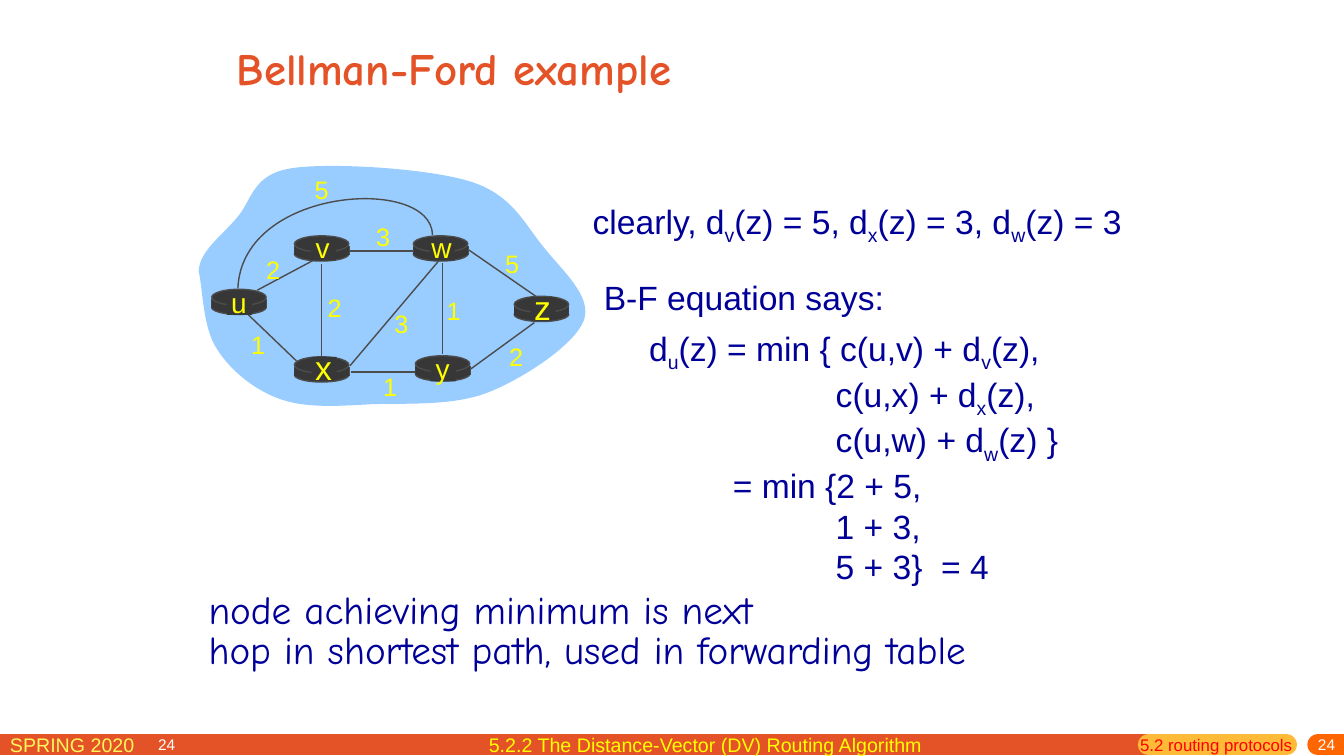
import pptx
import pptx.util
import pptx.dml.color
import pptx.enum.shapes
import pptx.enum.text
import pptx.oxml.ns
import lxml.etree

Inches = pptx.util.Inches
Kind = pptx.enum.shapes.MSO_SHAPE
Align = pptx.enum.text.PP_ALIGN
Anchor = pptx.enum.text.MSO_ANCHOR
qn = pptx.oxml.ns.qn

DARK, GREY, NAVY = "373737", "4C4C4C", "000099"
ORANGE, YELLOW, WHITE = "E45327", "FFFF00", "FFFFFF"

FOOTER_BARS = [(-0.18, 11.39, ORANGE), (11.39, 12.76, "FFBA37"), (13.07, 13.6, "FF6600")]

# left, top
ROUTERS = [(2.1, 2.87), (2.92, 3.54), (2.92, 2.34), (4.1, 2.34), (4.12, 3.53), (5.1, 2.94)]

# name, centre, top, size
LETTERS = [
    ("u", 2.37, 2.78, 20), ("y", 4.39, 3.44, 20), ("x", 3.21, 3.39, 24),
    ("w", 4.38, 2.24, 20), ("v", 3.2, 2.24, 20), ("z", 5.38, 2.8, 24),
]

LINKS = [
    (2.55, 2.88, 3.15, 2.56), (4.39, 2.61, 4.39, 3.51), (3.19, 2.62, 3.19, 3.55),
    (3.47, 3.63, 4.35, 2.59), (4.67, 3.66, 5.3, 3.2), (4.12, 3.69, 3.48, 3.69),
    (2.94, 3.58, 2.46, 3.12), (4.11, 2.49, 3.47, 2.49), (5.33, 2.95, 4.65, 2.48),
]

# cost, left, top
COSTS = [
    ("2", 2.54, 2.47), ("2", 3.15, 2.85), ("1", 2.39, 3.22), ("3", 3.81, 3.01),
    ("1", 3.7, 3.63), ("1", 4.33, 2.88), ("2", 4.95, 3.34), ("5", 4.91, 2.41),
    ("3", 3.63, 2.15), ("5", 3.02, 1.68),
]

# A start point, then two control points and an end point for each curve
CLOUD = [
    (1.97, 2.69),
    (1.98, 2.49), (2.2, 2.34), (2.35, 2.16),
    (2.5, 1.99), (2.5, 1.73), (2.89, 1.67),
    (3.27, 1.61), (4.24, 1.67), (4.66, 1.8),
    (5.08, 1.93), (5.2, 2.22), (5.39, 2.45),
    (5.57, 2.68), (5.88, 2.94), (5.79, 3.18),
    (5.7, 3.42), (5.2, 3.75), (4.85, 3.89),
    (4.5, 4.03), (4.04, 4), (3.69, 4.01),
    (3.35, 4.03), (3.03, 4.05), (2.78, 3.96),
    (2.52, 3.87), (2.28, 3.67), (2.15, 3.46),
    (2.01, 3.25), (2.01, 2.85), (1.97, 2.69),
]
ARC = [(4.29, 2.33), (4.28, 1.74), (2.4, 1.85), (2.36, 2.86)]

# text, left indent
EQUATION = [
    ("d_u(z) = min { c(u,v) + d_v(z),", 0), ("c(u,x) + d_x(z),", 1.85),
    ("c(u,w) + d_w(z) }", 1.85), ("= min {2 + 5,", 0.83),
    ("1 + 3,", 1.85), ("5 + 3}  = 4", 1.85),
]


def color(code):
    return pptx.dml.color.RGBColor.from_string(code)


def style(shape, fill=None, line=None):
    shape.shadow.inherit = False
    if fill:
        shape.fill.solid()
        shape.fill.fore_color.rgb = color(fill)
    else:
        shape.fill.background()
    if line:
        shape.line.color.rgb = color(line)
        shape.line.width = pptx.util.Pt(1)
    else:
        shape.line.fill.background()


def add_line(slide, x1, y1, x2, y2, code=GREY, width=1, cap="flat"):
    line = slide.shapes.add_connector(
        pptx.enum.shapes.MSO_CONNECTOR.STRAIGHT,
        Inches(x1), Inches(y1), Inches(x2), Inches(y2))
    line.line.color.rgb = color(code)
    line.line.width = pptx.util.Pt(width)
    line.line._get_or_add_ln().set("cap", cap)
    lxml.etree.SubElement(line._element.spPr, qn("a:effectLst"))


def add_curve(slide, points, fill=None, line=None):
    """Build an outline, then join each three line steps into one cubic curve."""
    spots = [(Inches(x), Inches(y)) for x, y in points]
    form = slide.shapes.build_freeform(*spots[0])
    form.add_line_segments(spots[1:], close=bool(fill))
    shape = form.convert_to_shape()
    steps = list(shape._element.iter(qn("a:lnTo")))
    for i in range(0, len(points) - 1, 3):
        curve = lxml.etree.Element(qn("a:cubicBezTo"))
        steps[i].addprevious(curve)
        for step in steps[i:i + 3]:
            curve.append(step[0])
    for step in steps:
        step.getparent().remove(step)
    style(shape, fill, line)


def add_shape(slide, kind, box, fill, line=None):
    style(slide.shapes.add_shape(kind, *map(Inches, box)), fill, line)


def write(para, text, size, code, font, bold):
    """Fill a paragraph; the letter after each underscore is a subscript."""
    first, *rest = text.split("_")
    pieces = [(first, False)]
    for part in rest:
        pieces += [(part[0], True), (part[1:], False)]
    for piece, low in pieces:
        run = para.add_run()
        run.text = piece
        run.font.size = pptx.util.Pt(size)
        run.font.name = font
        run.font.bold = bold
        run.font.color.rgb = color(code)
        if low:
            run._r.get_or_add_rPr().set("baseline", "-25000")


def add_text(slide, box, lines, size, code, font="Arial", bold=False,
             align=Align.LEFT, anchor=Anchor.TOP, space=None):
    """Add a text box; lines holds (text, indent) pairs."""
    frame = slide.shapes.add_textbox(*map(Inches, box)).text_frame
    frame.word_wrap = True
    frame.vertical_anchor = anchor
    for i, (text, indent) in enumerate(lines):
        para = frame.add_paragraph() if i else frame.paragraphs[0]
        para.alignment = align
        para.line_spacing = space
        if indent:
            para._p.get_or_add_pPr().set("marL", str(Inches(indent)))
        write(para, text, size, code, font, bold)
    return frame


def add_router(slide, left, top):
    wide, mid, low = 0.54, top + 0.1, top + 0.19
    add_shape(slide, Kind.OVAL, (left, top + 0.11, wide, 0.14), DARK, GREY)
    for x in (left, left + wide):
        add_line(slide, x, mid, x, low)
    add_shape(slide, Kind.RECTANGLE, (left, mid, wide, 0.09), DARK)
    add_shape(slide, Kind.OVAL, (left, top, wide, 0.16), DARK, GREY)


def add_letter(slide, name, centre, top, size):
    high = 0.43 if size == 20 else 0.5
    add_shape(slide, Kind.RECTANGLE, (centre - 0.12, top + high / 2 - 0.1, 0.25, 0.23), DARK)
    add_text(slide, (centre - 0.2, top, 0.4, high), [(name, 0)], size, YELLOW,
             align=Align.CENTER)


def add_footer(slide):
    for x1, x2, code in FOOTER_BARS:
        add_line(slide, x1, 7.39, x2, 7.39, code, 15, "rnd")
    add_text(slide, (0, 7.22, 2.29, 0.31), [("SPRING 2020", 0)], 14, "FFF65C")
    for left, align in ((1.47, Align.LEFT), (10.75, Align.RIGHT)):
        frame = add_text(slide, (left, 7.32, 2.59, 0.18), [("24", 0)], 11, WHITE,
                         align=align, anchor=Anchor.MIDDLE)
        frame.margin_top = 0
    add_text(slide, (11.21, 7.24, 1.84, 0.31), [("5.2 routing protocols", 0)], 12, "FF0000")
    add_text(slide, (4.75, 7.22, 4.52, 0.34),
             [("5.2.2 The Distance-Vector (DV) Routing Algorithm", 0)], 14, YELLOW)


def add_graph(slide):
    add_curve(slide, CLOUD, fill="99CCFF")
    add_line(slide, *LINKS[0])
    for router in ROUTERS:
        add_router(slide, *router)
    for link in LINKS[1:]:
        add_line(slide, *link)
    add_curve(slide, ARC, line=GREY)
    for letter in LETTERS:
        add_letter(slide, *letter)
    for cost, left, top in COSTS:
        add_text(slide, (left, top, 0.34, 0.4), [(cost, 0)], 18, YELLOW, align=Align.CENTER)


def main():
    deck = pptx.Presentation()
    deck.slide_width, deck.slide_height = Inches(13.33), Inches(7.5)
    slide = deck.slides.add_slide(deck.slide_layouts[6])
    add_footer(slide)
    add_text(slide, (2.25, 0.19, 8.5, 0.96), [("Bellman-Ford example", 0)], 32, ORANGE,
             "Comic Neue", True, anchor=Anchor.MIDDLE)
    add_graph(slide)
    add_text(slide, (5.78, 1.94, 5.52, 0.5),
             [("clearly, d_v(z) = 5, d_x(z) = 3, d_w(z) = 3", 0)], 24, NAVY)
    add_text(slide, (5.89, 2.7, 2.98, 0.5), [("B-F equation says:", 0)], 24, NAVY)
    add_text(slide, (6.34, 3.2, 4.31, 2.52), EQUATION, 24, NAVY)
    add_text(slide, (1.97, 5.83, 8.62, 0.9),
             [("node achieving minimum is next", 0),
              ("hop in shortest path, used in forwarding table", 0)],
             28, NAVY, "Comic Neue", space=0.85)
    deck.save("out.pptx")


if __name__ == "__main__":
    main()
